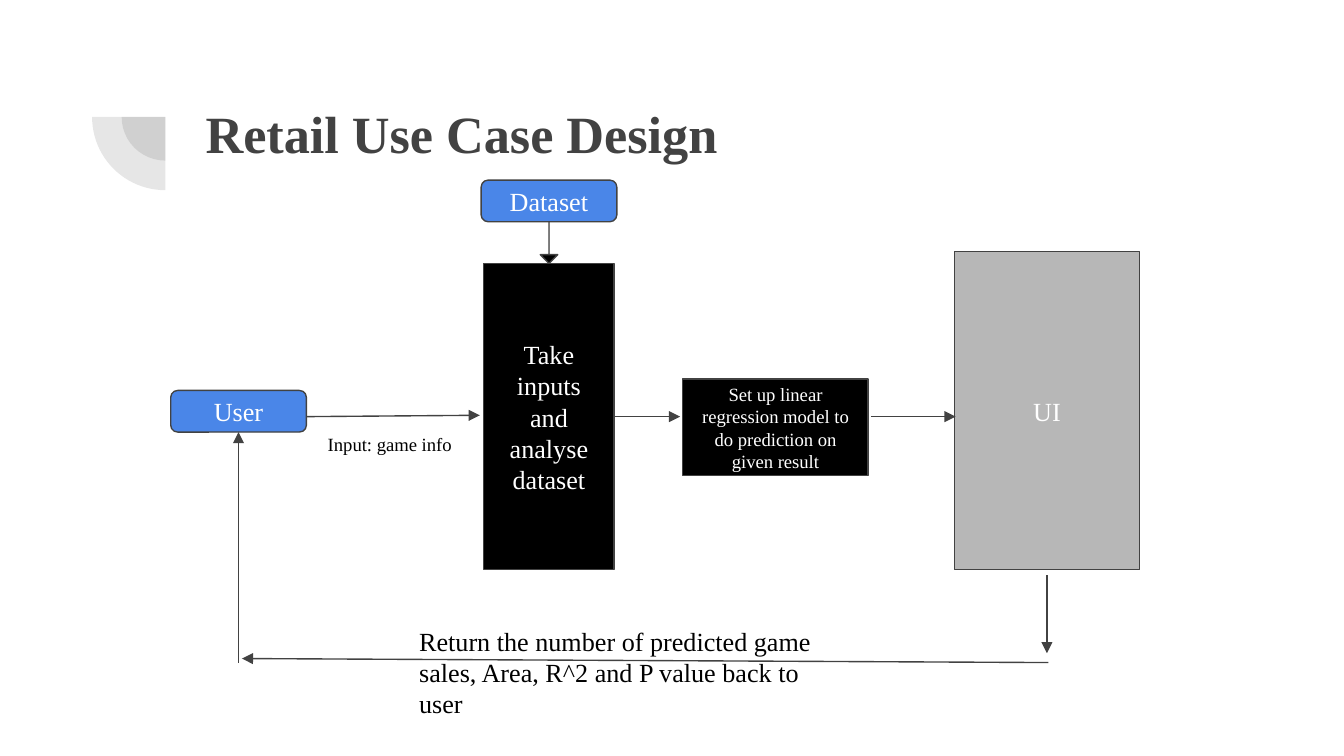
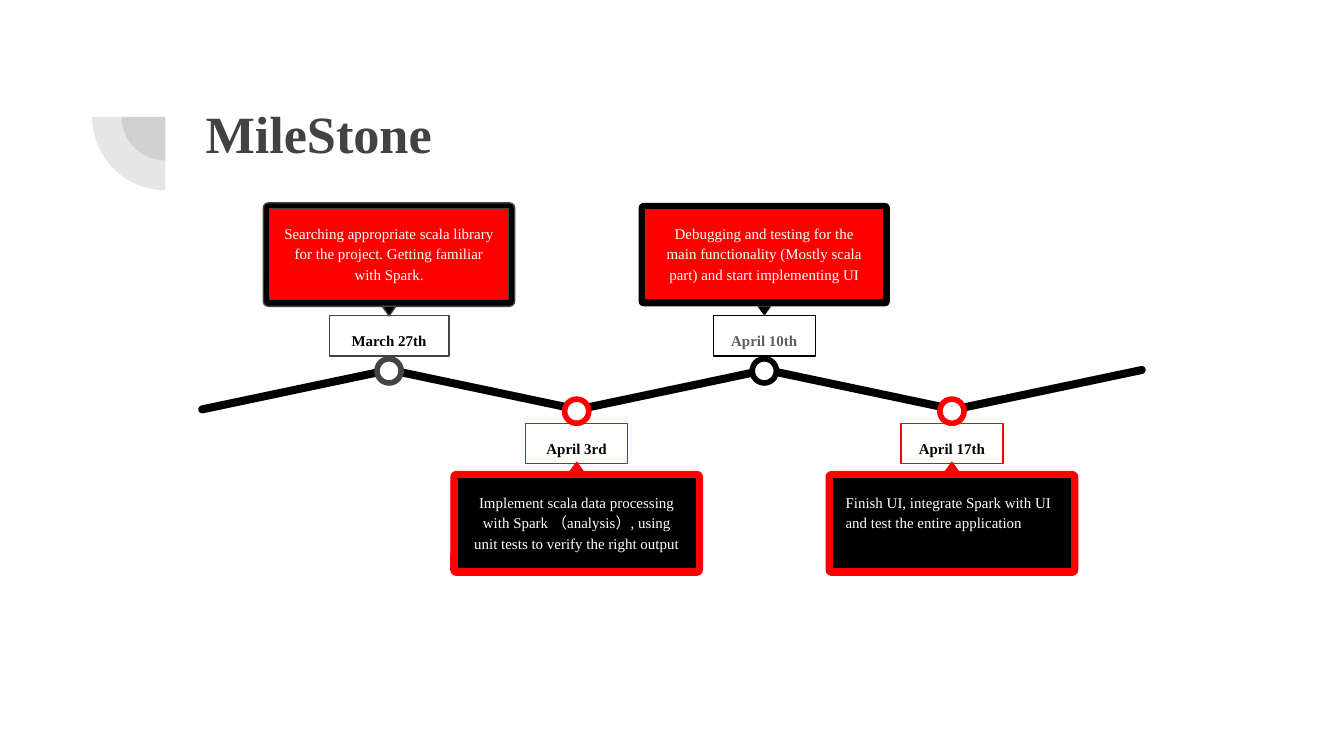
import dataclasses

import pptx
import pptx.dml.color
import pptx.enum.shapes
import pptx.enum.text
import pptx.oxml.ns
import pptx.util
from lxml import etree

RGB = pptx.dml.color.RGBColor
SHAPE = pptx.enum.shapes.MSO_SHAPE
ALIGN = pptx.enum.text.PP_ALIGN
ANCHOR = pptx.enum.text.MSO_ANCHOR
AUTO = pptx.enum.text.MSO_AUTO_SIZE
qn = pptx.oxml.ns.qn

BLACK = RGB(0x00, 0x00, 0x00)
WHITE = RGB(0xFF, 0xFF, 0xFF)
RED = RGB(0xFF, 0x00, 0x00)
BLUE = RGB(0x4A, 0x86, 0xE8)
GREY = RGB(0xB7, 0xB7, 0xB7)
DARK = RGB(0x42, 0x42, 0x42)
SLATE = RGB(0x43, 0x43, 0x43)
MUTED = RGB(0x5E, 0x5E, 0x5E)

FONT = "Times New Roman"
COLS, ROWS = 100, 56.25
THIN = 0.75
TOP, LEFT, BOTTOM, RIGHT = range(4)


@dataclasses.dataclass
class Milestone:
    date: str
    note: str
    edge: RGB
    trim: RGB | None
    tag_width: float = 7.6
    date_color: RGB = BLACK
    align: ALIGN = ALIGN.CENTER
    space_after: float = 16


def grid(*cells):
    return [pptx.util.Inches(c / 10) for c in cells]


def write(sp, text, size, color, bold=False, align=ALIGN.CENTER,
          anchor=ANCHOR.MIDDLE, spacing=None, after=None):
    tf = sp.text_frame
    tf.word_wrap = True
    tf.vertical_anchor = anchor
    tf.margin_left = tf.margin_right = tf.margin_top = tf.margin_bottom = grid(1)[0]
    tf.text = text
    p = tf.paragraphs[0]
    p.alignment = align
    if spacing:
        p.line_spacing = spacing
    if after is not None:
        p.space_after = pptx.util.Pt(after)
    f = p.font
    f.name, f.size, f.bold = FONT, pptx.util.Pt(size), bold
    f.color.rgb = color


def add_box(shapes, kind, at, fill=None, line=None, width=THIN, rot=0, adj=()):
    sp = shapes.add_shape(kind, *grid(*at))
    sp.shadow.inherit = False
    sp.rotation = rot
    for i, value in enumerate(adj):
        sp.adjustments[i] = value
    if fill is None:
        sp.fill.background()
    else:
        sp.fill.solid()
        sp.fill.fore_color.rgb = fill
    if line is None:
        sp.line.fill.background()
    else:
        sp.line.color.rgb = line
        sp.line.width = pptx.util.Pt(width)
    return sp


def add_node(shapes, kind, at, fill, text, size=14):
    sp = add_box(shapes, kind, at, fill, DARK)
    write(sp, text, size, WHITE)
    return sp


def add_label(shapes, at, text, size):
    sp = shapes.add_textbox(*grid(*at))
    write(sp, text, size, BLACK, align=ALIGN.LEFT, anchor=ANCHOR.TOP)
    sp.text_frame.auto_size = AUTO.SHAPE_TO_FIT_TEXT


def add_arrow(shapes, start, end, begin_at=None, end_at=None):
    cx = shapes.add_connector(pptx.enum.shapes.MSO_CONNECTOR.STRAIGHT, *grid(*start, *end))
    if begin_at:
        cx.begin_connect(*begin_at)
    if end_at:
        cx.end_connect(*end_at)
    cx.line.color.rgb = DARK
    cx.line.width = pptx.util.Pt(THIN)
    etree.SubElement(cx.line._get_or_add_ln(), qn("a:tailEnd"), type="triangle")
    etree.SubElement(cx._element.spPr, qn("a:effectLst"))


def add_slide(prs, title):
    s = prs.slides.add_slide(prs.slide_layouts[5])
    emblem = s.shapes.add_group_shape().shapes
    for size in (6.5, 10.9):
        sp = add_box(emblem, SHAPE.PIE, (12.3 - size / 2, 8.7 - size / 2, size, size),
                     DARK, rot=270, adj=(107.93, 162))
        color = sp._element.spPr.find(qn("a:solidFill"))[0]
        etree.SubElement(color, qn("a:alpha"), val="13000")
    sp = s.shapes.title
    sp.left, sp.top, sp.width, sp.height = grid(14.3, 6.5, 76.9, 10.9)
    write(sp, title, 28, DARK, True, ALIGN.LEFT, ANCHOR.TOP)
    sp.text_frame.auto_size = AUTO.NONE
    return s


def add_milestone(shapes, center, above, m):
    g = shapes.add_group_shape().shapes
    if above:
        card_fill, frame_fill = RED, BLACK
        tag, dot, frame, pointer, rot = 23.5, 26.7, 15.1, 22.8, 180
    else:
        card_fill, frame_fill = BLACK, RED
        tag, dot, frame, pointer, rot = 31.5, 29.7, 35.1, 34.4, 0

    def centered(kind, y, w, h, *style, **more):
        return add_box(g, kind, (center - w / 2, y, w, h), *style, **more)

    sp = centered(SHAPE.RECTANGLE, tag, m.tag_width, 3, None, m.edge)
    write(sp, m.date, 8, m.date_color, True, anchor=ANCHOR.TOP, spacing=1.15, after=16)
    centered(SHAPE.ROUNDED_RECTANGLE, frame, 18.7, 7.7, frame_fill, m.trim, adj=(0.05,))
    centered(SHAPE.ISOSCELES_TRIANGLE, pointer, 1, 0.7, frame_fill, m.trim, rot=rot)
    sp = centered(SHAPE.RECTANGLE, frame + 0.4, 17.8, 6.8, card_fill, m.edge)
    write(sp, m.note, 8, WHITE, align=m.align, anchor=ANCHOR.TOP,
          spacing=1.15, after=m.space_after)
    centered(SHAPE.OVAL, dot, 1.8, 1.8, WHITE, m.edge, 3, rot=330.2)


def build_design(prs):
    shapes = add_slide(prs, "Retail Use Case Design").shapes
    user = add_node(shapes, SHAPE.ROUNDED_RECTANGLE, (12.7, 29.05, 10.1, 3.1), BLUE, "User")
    analyse = add_node(shapes, SHAPE.FLOWCHART_PROCESS, (36, 19.6, 9.7, 22.8), BLACK,
                       "Take inputs and analyse dataset")
    add_node(shapes, SHAPE.ROUNDED_RECTANGLE, (35.8, 13.4, 10.1, 3.1), BLUE, "Dataset")
    add_box(shapes, SHAPE.RIGHT_ARROW, (39.3, 17.4, 3.1, 1.3), BLACK, DARK,
            rot=90, adj=(0, 0.5))
    add_node(shapes, SHAPE.RECTANGLE, (50.8, 28.2, 13.8, 7.2), BLACK,
             "Set up linear regression model to do prediction on given result", 10)
    add_node(shapes, SHAPE.RECTANGLE, (71, 18.7, 13.8, 23.7), GREY, "UI")
    add_label(shapes, (23.4, 31.4, 11.8, 3.7), "Input: game info", 10)
    add_arrow(shapes, (78, 49.3), (18, 49))
    add_arrow(shapes, (17.75, 49.3), (17.75, 32.1), end_at=(user, BOTTOM))
    add_label(shapes, (30.2, 45.5, 32.9, 9.1),
              "Return the number of predicted game sales, Area, R^2 and P value back to user", 14)
    add_arrow(shapes, (77.9, 42.8), (77.9, 48.6))
    add_arrow(shapes, (22.8, 31), (35.7, 30.9))
    add_arrow(shapes, (45.7, 31), (50.6, 31), begin_at=(analyse, RIGHT))
    add_arrow(shapes, (64.8, 31), (71.1, 31))


def build_milestones(prs):
    shapes = add_slide(prs, "MileStone").shapes
    for i in range(5):
        add_box(shapes, SHAPE.ROUNDED_RECTANGLE, (14.6 + 14 * i, 28.7, 14.8, 0.6), BLACK,
                rot=11.9 if i % 2 else 348.1, adj=(0.5,))
    milestones = [
        Milestone("March 27th", "Searching appropriate scala library for the project. "
                  "Getting familiar with Spark.", SLATE, SLATE, tag_width=8.9),
        Milestone("April 3rd", "Implement scala data processing with Spark （analysis）, "
                  "using unit tests to verify the right output", RED, RED),
        Milestone("April 10th", "Debugging and testing for the main functionality "
                  "(Mostly scala part) and start implementing UI", BLACK, None,
                  date_color=MUTED),
        Milestone("April 17th", "Finish UI, integrate Spark with UI and test the entire "
                  "application", RED, RED, align=ALIGN.LEFT, space_after=0),
    ]
    for i, m in enumerate(milestones):
        add_milestone(shapes, 28.95 + 13.96 * i, i % 2 == 0, m)


def main():
    prs = pptx.Presentation()
    prs.slide_width, prs.slide_height = grid(COLS, ROWS)
    build_design(prs)
    build_milestones(prs)
    prs.save("out.pptx")


if __name__ == "__main__":
    main()
